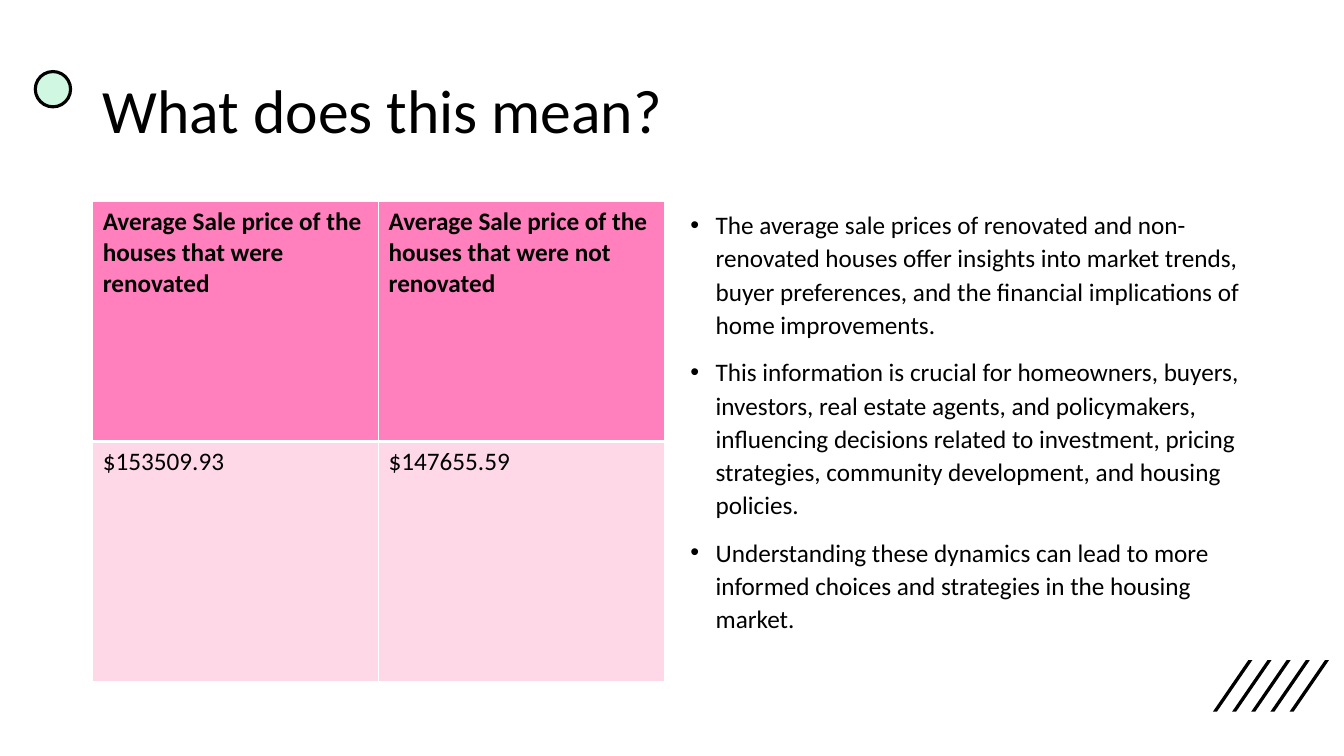
from lxml import etree
from pptx import Presentation
from pptx.dml.color import RGBColor
from pptx.enum.shapes import MSO_SHAPE
from pptx.enum.text import MSO_ANCHOR
from pptx.oxml.ns import qn
from pptx.util import Inches, Pt

OVAL = MSO_SHAPE.OVAL
MIDDLE = MSO_ANCHOR.MIDDLE

BLACK = RGBColor(0x00, 0x00, 0x00)
WHITE = RGBColor(0xFF, 0xFF, 0xFF)
MINT = RGBColor(0xCF, 0xF7, 0xE1)
PINK = RGBColor(0xFF, 0x80, 0xBD)
PALE_PINK = RGBColor(0xFF, 0xD8, 0xE8)
FONT = "Calibri"

TITLE = "What does this mean?"
PRICES = [
    ("Average Sale price of the houses that were renovated",
     "Average Sale price of the houses that were not renovated"),
    ("$153509.93", "$147655.59"),
]
ROW_FILLS = [PINK, PALE_PINK]
INSIGHTS = [
    "The average sale prices of renovated and non-renovated houses offer insights "
    "into market trends, buyer preferences, and the financial implications of home "
    "improvements.",
    "This information is crucial for homeowners, buyers, investors, real estate "
    "agents, and policymakers, influencing decisions related to investment, pricing "
    "strategies, community development, and housing policies.",
    "Understanding these dynamics can lead to more informed choices and strategies "
    "in the housing market.",
]

LEFT, CONTENT_TOP = 0.92, 2
COLUMN_WIDTH, CONTENT_HEIGHT = 5.67, 4.76
INSIGHTS_LEFT = 6.75
STRIPE_COUNT, STRIPE_LEFT, STRIPE_STEP = 5, 12.03, 0.19
STRIPE_TOP, STRIPE_BOTTOM = 6.55, 7.06
STRIPE_THICKNESS, STRIPE_SLANT = 0.04, 0.35


def style_text(paragraph, size, bold=False):
    for run in paragraph.runs:
        run.font.name = FONT
        run.font.size = Pt(size)
        run.font.bold = bold
        run.font.color.rgb = BLACK


def add_text_area(slide, left, top, width, height):
    box = slide.shapes.add_textbox(Inches(left), Inches(top), Inches(width), Inches(height))
    box.text_frame.word_wrap = True
    return box.text_frame


def add_stripes(slide):
    for i in range(STRIPE_COUNT):
        left = STRIPE_LEFT + i * STRIPE_STEP
        top_left = left + STRIPE_SLANT
        corners = [
            (left + STRIPE_THICKNESS, STRIPE_BOTTOM),
            (left, STRIPE_BOTTOM),
            (top_left, STRIPE_TOP),
            (top_left + STRIPE_THICKNESS, STRIPE_TOP),
        ]
        points = [(Inches(x), Inches(y)) for x, y in corners]
        outline = slide.shapes.build_freeform(*points[0])
        outline.add_line_segments(points[1:], close=True)
        stripe = outline.convert_to_shape()
        stripe.shadow.inherit = False
        stripe.fill.solid()
        stripe.fill.fore_color.rgb = BLACK
        stripe.line.fill.background()


def add_dot(slide):
    dot = slide.shapes.add_shape(OVAL, Inches(0.35), Inches(0.71), Inches(0.35), Inches(0.35))
    dot.shadow.inherit = False
    dot.fill.solid()
    dot.fill.fore_color.rgb = MINT
    dot.line.color.rgb = BLACK
    dot.line.width = Pt(2.25)


def add_title(slide):
    frame = add_text_area(slide, LEFT, 0.4, 11.5, 1.45)
    frame.vertical_anchor = MIDDLE
    frame.text = TITLE
    frame.paragraphs[0].line_spacing = 0.9
    style_text(frame.paragraphs[0], 44)


def set_borders(cell, widths):
    properties = cell._tc.get_or_add_tcPr()
    for side, width in widths.items():
        border = etree.SubElement(properties, qn(f"a:ln{side}"), w=str(Pt(width)))
        fill = etree.SubElement(border, qn("a:solidFill"))
        etree.SubElement(fill, qn("a:srgbClr"), val=str(WHITE))


def add_prices(slide):
    table = slide.shapes.add_table(
        len(PRICES), len(PRICES[0]), Inches(LEFT), Inches(CONTENT_TOP),
        Inches(COLUMN_WIDTH), Inches(CONTENT_HEIGHT)).table
    table.horz_banding = False
    for r, row in enumerate(PRICES):
        header = r == 0
        for c, entry in enumerate(row):
            cell = table.cell(r, c)
            cell.text = entry
            style_text(cell.text_frame.paragraphs[0], 18, bold=header)
            set_borders(cell, {"L": 1, "R": 1, "T": 1 if header else 3,
                               "B": 3 if header else 1})
            cell.fill.solid()
            cell.fill.fore_color.rgb = ROW_FILLS[r]


def add_insights(slide):
    frame = add_text_area(slide, INSIGHTS_LEFT, CONTENT_TOP, COLUMN_WIDTH, CONTENT_HEIGHT)
    frame.text = "\n".join(INSIGHTS)
    for paragraph in frame.paragraphs:
        paragraph.line_spacing = 1.1
        paragraph.space_before = Pt(10)
        style_text(paragraph, 18)
        properties = paragraph._p.get_or_add_pPr()
        properties.set("marL", str(Inches(0.25)))
        properties.set("indent", str(Inches(-0.25)))
        etree.SubElement(properties, qn("a:buFont"), typeface="Arial")
        etree.SubElement(properties, qn("a:buChar"), char="•")


def main():
    deck = Presentation()
    deck.slide_width, deck.slide_height = Inches(13.33), Inches(7.5)
    slide = deck.slides.add_slide(deck.slide_layouts[6])
    slide.background.fill.solid()
    slide.background.fill.fore_color.rgb = WHITE
    add_stripes(slide)
    add_dot(slide)
    add_title(slide)
    add_prices(slide)
    add_insights(slide)
    deck.save("out.pptx")


if __name__ == "__main__":
    main()
